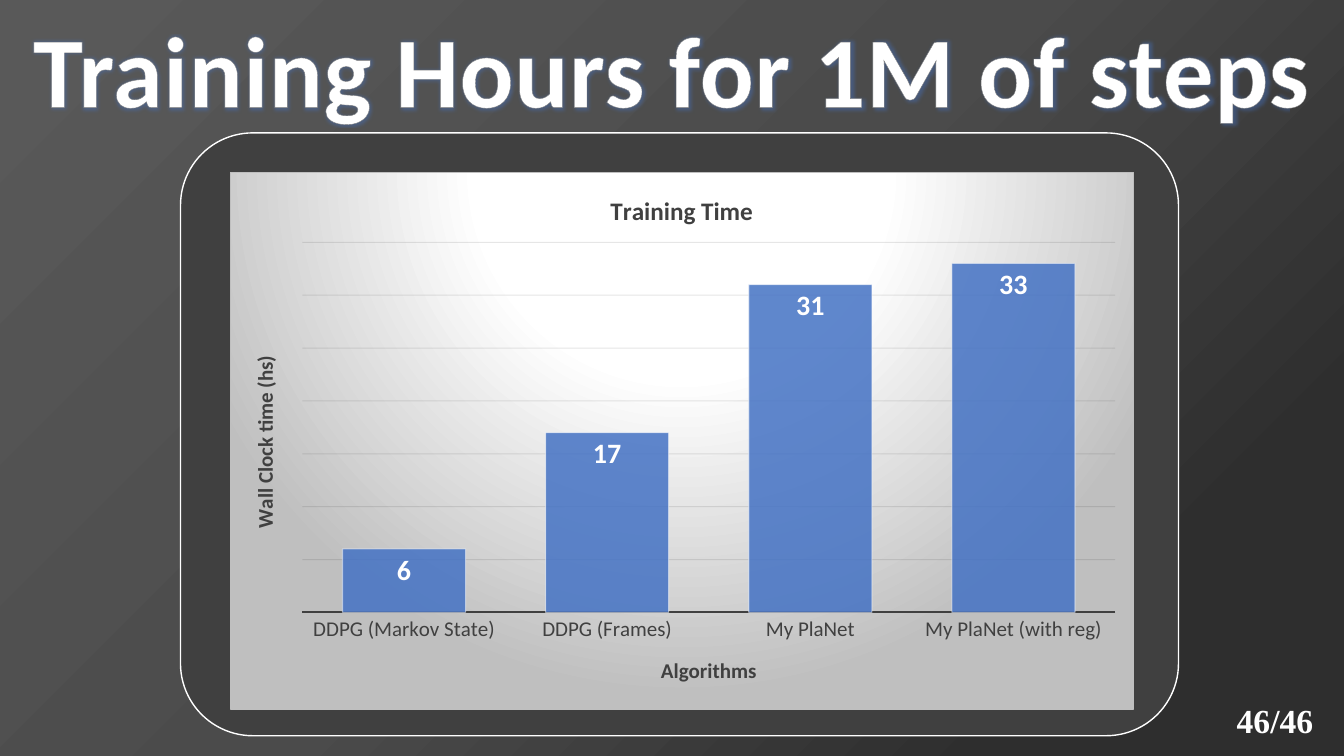
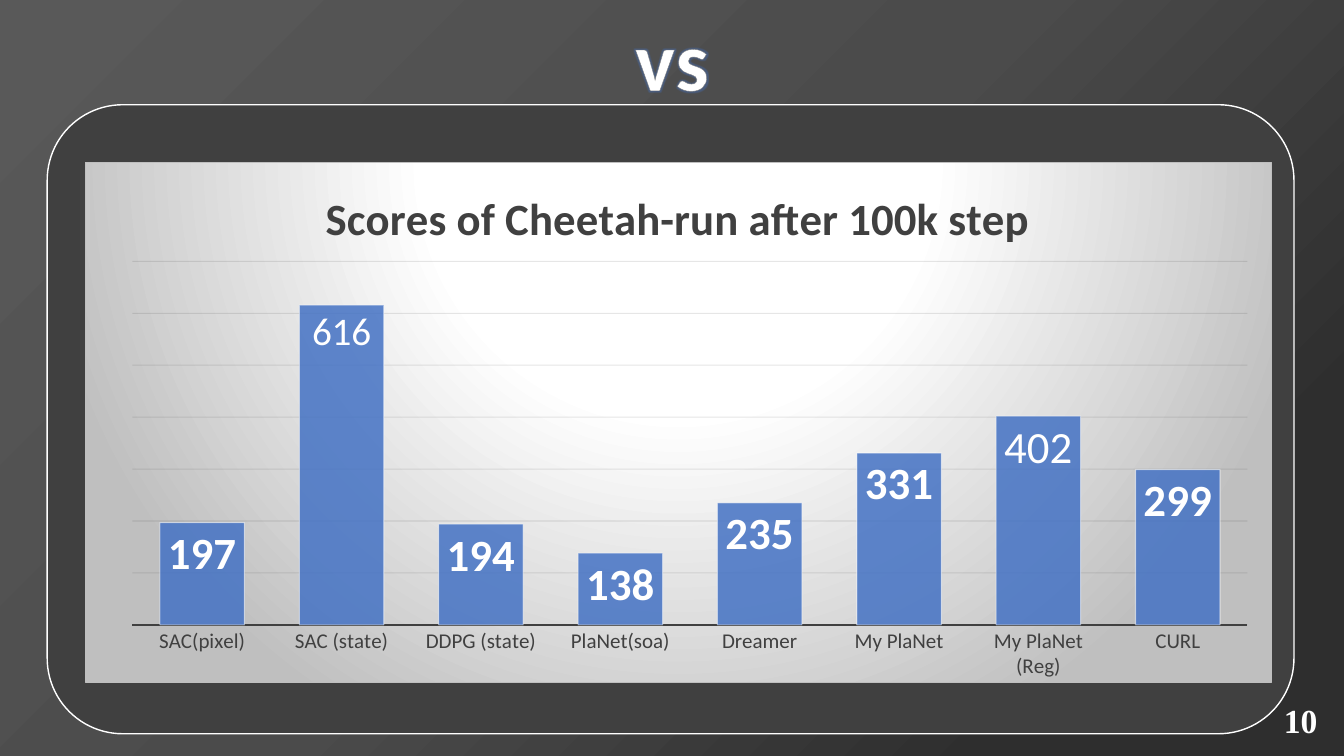
from pptx import Presentation
from pptx.chart.data import CategoryChartData
from pptx.dml.color import RGBColor
from pptx.enum.chart import XL_CHART_TYPE, XL_LABEL_POSITION, XL_TICK_MARK
from pptx.enum.shapes import MSO_SHAPE
from pptx.enum.text import MSO_ANCHOR, MSO_AUTO_SIZE, PP_ALIGN
from pptx.oxml import parse_xml
from pptx.oxml.ns import nsdecls
from pptx.util import Cm, Pt

WHITE = RGBColor(0xFF, 0xFF, 0xFF)
CHARCOAL = RGBColor(0x40, 0x40, 0x40)
GRID = RGBColor(0x0D, 0x0D, 0x0D)
BLUE = RGBColor(0x44, 0x72, 0xC4)
OUTLINE = RGBColor(0x7C, 0x7C, 0x7C)
SILVER = RGBColor(0xBF, 0xBF, 0xBF)
BACKDROP = (
    (17, RGBColor(0x2E, 0x2E, 0x2E)),
    (51, RGBColor(0x4B, 0x4B, 0x4B)),
    (98, RGBColor(0x59, 0x59, 0x59)),
)
SPOTLIGHT = ((0, WHITE), (39, WHITE), (100, SILVER))

BODY_FONT = "Calibri"
NUMBER_FONT = "Times New Roman"
WIDTH, HEIGHT = 33.87, 19.05
NUMBER_RIGHT = 33.53


def solid(color, alpha=100):
    """Return the XML of a solid fill with the given opacity."""
    return (f'<a:solidFill><a:srgbClr val="{color}">'
            f'<a:alpha val="{alpha * 1000}"/></a:srgbClr></a:solidFill>')


def gradient(stops, direction):
    """Return the XML of a gradient fill."""
    marks = "".join(f'<a:gs pos="{place * 1000}"><a:srgbClr val="{color}"/></a:gs>'
                    for place, color in stops)
    return f'<a:gradFill rotWithShape="1"><a:gsLst>{marks}</a:gsLst>{direction}</a:gradFill>'


def set_font(font, size, color, bold=False, name=BODY_FONT):
    """Set the look of a font."""
    font.name, font.size, font.bold = name, Pt(size), bold
    font.color.rgb = color


def set_line(line, color, width):
    """Set a solid outline."""
    line.color.rgb = color
    line.width = Pt(width)


class ChartDeck:
    """Deck of framed column charts, with the slide being built."""

    def __init__(self):
        """Open an empty widescreen deck."""
        self.deck = Presentation()
        self.deck.slide_width, self.deck.slide_height = Cm(WIDTH), Cm(HEIGHT)
        self.page = None

    def add_page(self):
        """Start a slide on the dark gradient."""
        self.page = self.deck.slides.add_slide(self.deck.slide_layouts[5])
        fill = gradient(BACKDROP, '<a:lin ang="13500000" scaled="0"/>')
        self.page.element.cSld.insert(0, parse_xml(
            f'<p:bg {nsdecls("p", "a")}><p:bgPr>{fill}<a:effectLst/></p:bgPr></p:bg>'))

    def title(self, text, size, height):
        """Fill the title with glowing, outlined text."""
        box = self.page.shapes.title
        box.left, box.top, box.width, box.height = Cm(0), Cm(0.03), Cm(WIDTH), Cm(height)
        frame = box.text_frame
        frame.auto_size = MSO_AUTO_SIZE.NONE
        frame.vertical_anchor = MSO_ANCHOR.MIDDLE
        frame.text = text
        para = frame.paragraphs[0]
        para.alignment = PP_ALIGN.CENTER
        set_font(para.font, size, WHITE, bold=True)
        span = box.element.xpath(".//a:r")[0].get_or_add_rPr()
        span.set("spc", "50")
        glow = (f'<a:glow rad="38100"><a:srgbClr val="{BLUE}">'
                '<a:alpha val="40000"/></a:srgbClr></a:glow>')
        for effect in (f'<a:ln {nsdecls("a")} w="28575">{solid(OUTLINE)}</a:ln>',
                       f'<a:effectLst {nsdecls("a")}>{glow}</a:effectLst>'):
            span.append(parse_xml(effect))

    def frame(self, left, top, width, height):
        """Draw the rounded panel behind the chart."""
        panel = self.page.shapes.add_shape(
            MSO_SHAPE.ROUNDED_RECTANGLE, Cm(left), Cm(top), Cm(width), Cm(height))
        panel.adjustments[0] = 0.12
        panel.shadow.inherit = False
        panel.fill.solid()
        panel.fill.fore_color.rgb = CHARCOAL
        set_line(panel.line, WHITE, 1)

    def number(self, text, width):
        """Write the page number at the lower right."""
        box = self.page.shapes.add_textbox(
            Cm(NUMBER_RIGHT - width), Cm(17.5), Cm(width), Cm(1.27))
        box.text_frame.word_wrap = True
        box.text_frame.text = text
        para = box.text_frame.paragraphs[0]
        para.alignment = PP_ALIGN.CENTER
        set_font(para.font, 24, WHITE, bold=True, name=NUMBER_FONT)

    def caption(self, holder, text, size):
        """Write the title of a chart or an axis."""
        holder.text_frame.text = text
        set_font(holder.text_frame.paragraphs[0].font, size, CHARCOAL, bold=True)

    def chart(self, area, scores, title, title_size, label_size, scale, plot_area):
        """Add a column chart on a spotlight background and return it."""
        data = CategoryChartData()
        data.categories = list(scores)
        data.add_series("Series 1", list(scores.values()))
        chart = self.page.shapes.add_chart(
            XL_CHART_TYPE.COLUMN_CLUSTERED, *map(Cm, area), data).chart
        chart.has_legend = False
        chart.font.name, chart.font.size = BODY_FONT, Pt(15)
        self.caption(chart.chart_title, title, title_size)

        axis = chart.category_axis
        axis.major_tick_mark = XL_TICK_MARK.NONE
        set_font(axis.tick_labels.font, 15, CHARCOAL)
        set_line(axis.format.line, CHARCOAL, 1.5)
        values = chart.value_axis
        values.visible = False
        values.minimum_scale = 0
        values.maximum_scale, values.major_unit = scale
        set_line(values.major_gridlines.format.line, GRID, 0.75)

        plot = chart.plots[0]
        plot.gap_width = 65
        plot.vary_by_categories = False
        series = plot.series[0]
        series.format.fill.solid()
        series.format.fill.fore_color.rgb = BLUE
        set_line(series.format.line, WHITE, 0.75)
        labels = series.data_labels
        labels.show_value = True
        labels.position = XL_LABEL_POSITION.INSIDE_END
        set_font(labels.font, label_size, WHITE, bold=True)

        self.fade(chart, "c:ser/c:spPr/a:solidFill", 85)
        self.fade(chart, "c:ser/c:spPr/a:ln", 50)
        self.fade(chart, "c:majorGridlines", 10)
        self.spotlight(chart)
        self.place_plot(chart, plot_area)
        return chart

    def fade(self, chart, part, alpha):
        """Make the colour of a chart part translucent."""
        for color in chart.element.xpath(f".//{part}//a:srgbClr"):
            color.append(parse_xml(f'<a:alpha {nsdecls("a")} val="{alpha * 1000}"/>'))

    def spotlight(self, chart):
        """Fill the chart area with the radial gradient."""
        fill = gradient(SPOTLIGHT, '<a:path path="circle"><a:fillToRect l="50000" '
                                   't="-80000" r="50000" b="180000"/></a:path>')
        chart.element.xpath("c:chart")[0].addnext(parse_xml(
            f'<c:spPr {nsdecls("c", "a")}>{fill}'
            f'<a:ln w="9525">{solid(SILVER)}</a:ln></c:spPr>'))

    def place_plot(self, chart, plot_area):
        """Set the inner plot area as fractions of the chart."""
        plot = chart.element.xpath(".//c:plotArea")[0]
        for layout in plot.xpath("c:layout"):
            plot.remove(layout)
        sizes = "".join(f'<c:{name} val="{value}"/>'
                        for name, value in zip("xywh", plot_area))
        plot.insert(0, parse_xml(
            f'<c:layout {nsdecls("c")}><c:manualLayout><c:layoutTarget val="inner"/>'
            f'<c:xMode val="edge"/><c:yMode val="edge"/>{sizes}'
            '</c:manualLayout></c:layout>'))

    def axis_titles(self, chart, category, value):
        """Name both axes, the value axis upright."""
        self.caption(chart.category_axis.axis_title, category, 15)
        self.caption(chart.value_axis.axis_title, value, 15)
        for body in chart.element.xpath(".//c:valAx/c:title//a:bodyPr"):
            body.set("rot", "-5400000")
            body.set("vert", "horz")

    def light_label(self, chart, index, size):
        """Give one column a label in regular weight."""
        label = chart.plots[0].series[0].points[index].data_label
        set_font(label.font, size, WHITE)
        label.position = XL_LABEL_POSITION.INSIDE_END

    def save(self):
        """Save the deck."""
        self.deck.save("out.pptx")


def main():
    """Build both chart slides."""
    deck = ChartDeck()

    deck.add_page()
    deck.title("Training Hours for 1M of steps", 72, 3.33)
    deck.frame(4.55, 3.35, 25.15, 15.19)
    hours = {"DDPG (Markov State)": 6, "DDPG (Frames)": 17,
             "My PlaNet": 31, "My PlaNet (with reg)": 33}
    chart = deck.chart((5.79, 4.34, 22.78, 13.54), hours, "Training Time", 18, 20,
                       (35, 5), (0.08, 0.13, 0.9, 0.69))
    deck.axis_titles(chart, "Algorithms", "Wall Clock time (hs)")
    deck.number("46/46", 2.8)

    deck.add_page()
    deck.title("vs", 60, 2.82)
    deck.frame(1.19, 2.64, 31.42, 15.85)
    scores = {"SAC(pixel)": 197, "SAC (state)": 616, "DDPG (state)": 194,
              "PlaNet(soa)": 138, "Dreamer": 235, "My PlaNet": 331,
              "My PlaNet (Reg)": 402, "CURL": 299}
    chart = deck.chart((2.13, 4.09, 29.92, 13.11), scores,
                       "Scores of Cheetah-run after 100k step", 32, 32,
                       (700, 100), (0.04, 0.19, 0.94, 0.7))
    deck.light_label(chart, 1, 28)
    deck.light_label(chart, 6, 32)
    deck.number("10", 1.5)

    deck.save()


if __name__ == "__main__":
    main()
